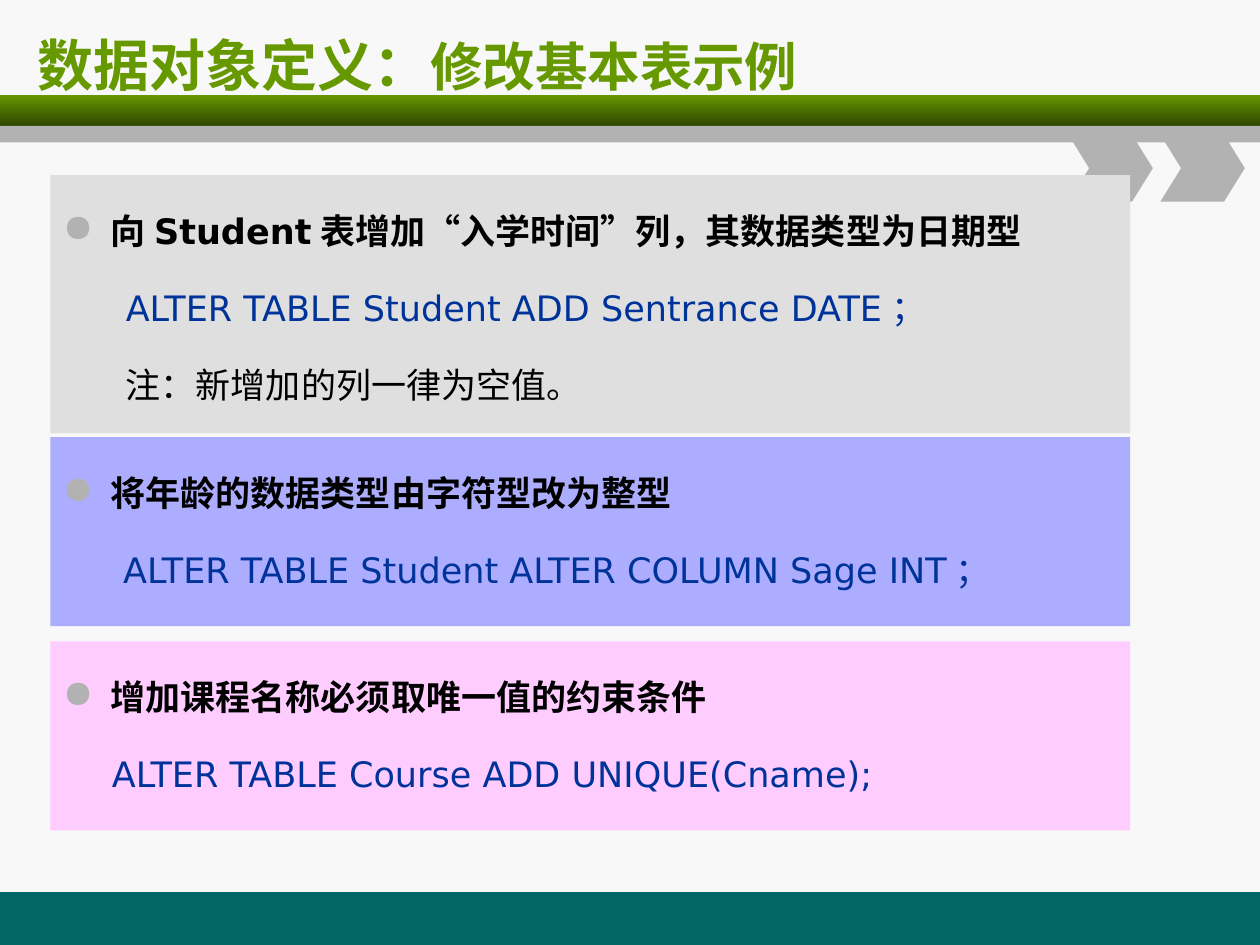
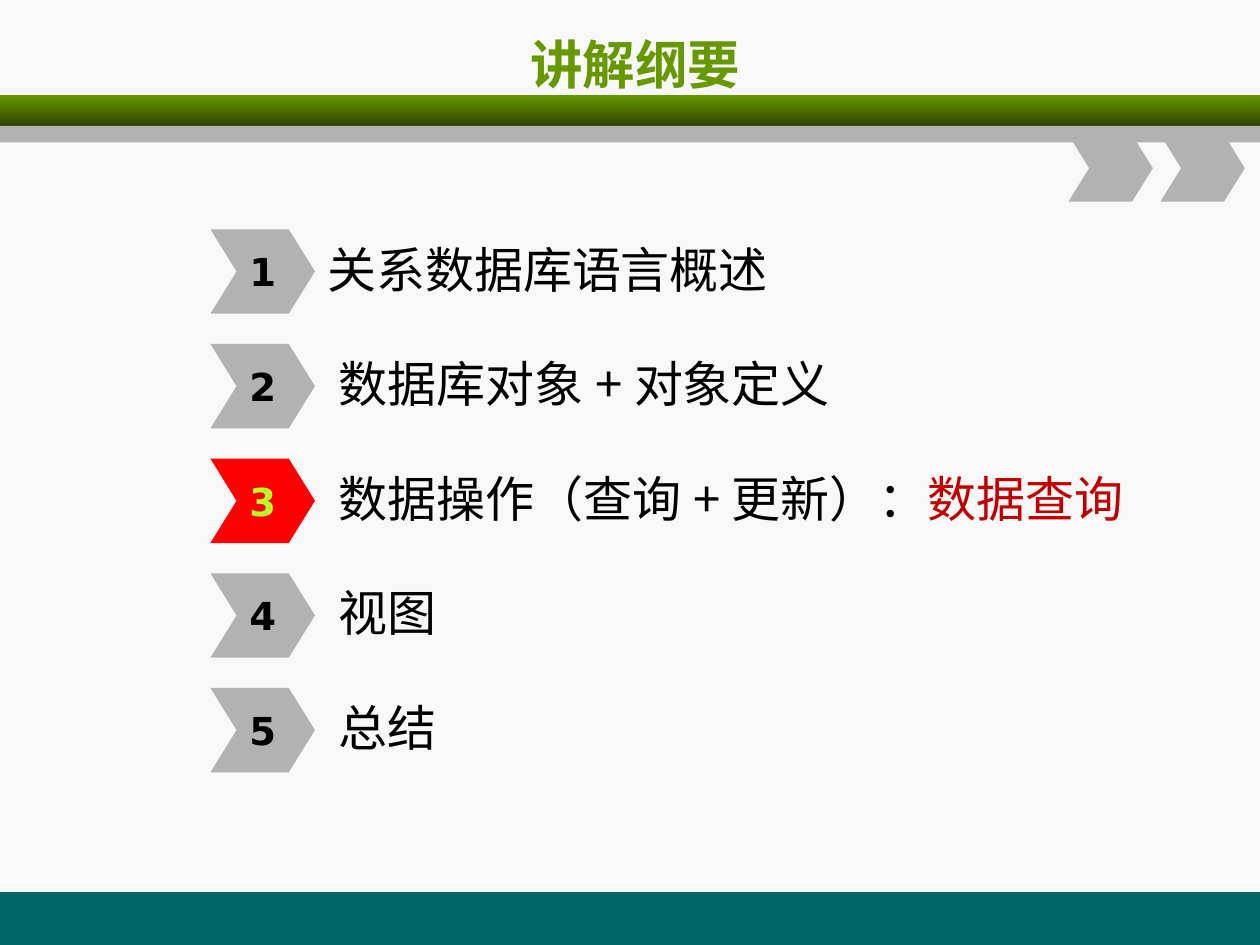
from pptx import Presentation
from pptx.dml.color import RGBColor
from pptx.enum import shapes, text
from pptx.oxml.ns import qn
from pptx.oxml.xmlchemy import OxmlElement
from pptx.util import Inches, Pt

PAPER = RGBColor(0xF8, 0xF8, 0xF8)
GREEN = RGBColor(0x66, 0x99, 0x00)
DARK_GREEN = RGBColor(0x2F, 0x46, 0x00)
TEAL = RGBColor(0x00, 0x66, 0x66)
GRAY = RGBColor(0xB2, 0xB2, 0xB2)
LIGHT_GRAY = RGBColor(0xDF, 0xDF, 0xDF)
LILAC = RGBColor(0xAD, 0xAD, 0xFF)
PINK = RGBColor(0xFF, 0xCC, 0xFF)
RED = RGBColor(0xFF, 0x00, 0x00)
DARK_RED = RGBColor(0xC0, 0x00, 0x00)
LIME = RGBColor(0xB8, 0xFF, 0x29)
NAVY = RGBColor(0x00, 0x33, 0x99)
BLACK = RGBColor(0x00, 0x00, 0x00)

LATIN = "DejaVu Sans"
CJK = "Noto Sans CJK SC"
QUOTE = "Courier New"
RECT = shapes.MSO_SHAPE.RECTANGLE
CHEVRON = shapes.MSO_SHAPE.CHEVRON
MIDDLE = text.MSO_ANCHOR.MIDDLE
CENTER = text.PP_ALIGN.CENTER


class Deck:
    """Holds the presentation, its style and the slide being built."""

    def __init__(self):
        self.prs = Presentation()
        self.prs.slide_width = Inches(10)
        self.prs.slide_height = Inches(7.5)
        self.s = None

    def new_slide(self):
        """Start a slide with the shared background, bands and corner chevrons."""
        self.s = self.prs.slides.add_slide(self.prs.slide_layouts[6])
        bg = self.s.background.fill
        bg.solid()
        bg.fore_color.rgb = PAPER
        self.shape(RECT, 0, 7.08, 10, 0.42, TEAL)
        band = self.shape(RECT, 0, 0.75, 10, 0.25, GREEN)
        band.fill.gradient()
        band.fill.gradient_angle = 270
        for stop, color in zip(band.fill.gradient_stops, (GREEN, DARK_GREEN)):
            stop.color.rgb = color
        self.shape(RECT, 0, 1, 10, 0.13, GRAY)
        for left in (8.48, 9.21):
            self.shape(CHEVRON, left, 1.07, 0.67, 0.53, GRAY)

    def shape(self, kind, left, top, width, height, color):
        sp = self.s.shapes.add_shape(
            kind, Inches(left), Inches(top), Inches(width), Inches(height))
        sp.shadow.inherit = False
        sp.fill.solid()
        sp.fill.fore_color.rgb = color
        sp.line.fill.background()
        if kind == CHEVRON:
            sp.adjustments[0] = 0.31
        return sp

    def textbox(self, left, top, width, height, anchor=MIDDLE):
        sp = self.s.shapes.add_textbox(
            Inches(left), Inches(top), Inches(width), Inches(height))
        sp.text_frame.word_wrap = True
        sp.text_frame.vertical_anchor = anchor
        return sp

    def add_runs(self, p, runs, size, color=BLACK, bold=False, font=LATIN):
        """Fill a paragraph from (text, overrides) pairs sharing one font."""
        p.font.size = Pt(size)
        p.font.bold = bold
        p.font.color.rgb = color
        p.font.name = font
        east_asian = OxmlElement("a:ea")
        east_asian.set("typeface", CJK)
        p._p.pPr.find(qn("a:defRPr")).append(east_asian)
        for words, changes in runs:
            r = p.add_run()
            r.text = words
            if "size" in changes:
                r.font.size = Pt(changes["size"])
            if "color" in changes:
                r.font.color.rgb = changes["color"]
            if "font" in changes:
                r.font.name = changes["font"]

    def title(self, runs, left, width, font=LATIN, align=None):
        p = self.textbox(left, 0.17, width, 0.67).text_frame.paragraphs[0]
        p.alignment = align
        self.add_runs(p, runs, 30, GREEN, True, font)

    def bullet(self, p):
        pPr = p._p.get_or_add_pPr()
        pPr.set("marL", str(Inches(0.38)))
        pPr.set("indent", str(-Inches(0.38)))
        color = OxmlElement("a:buClr")
        rgb = OxmlElement("a:srgbClr")
        rgb.set("val", str(GRAY))
        color.append(rgb)
        size = OxmlElement("a:buSzPct")
        size.set("val", "110000")
        char = OxmlElement("a:buChar")
        char.set("char", "●")
        pPr.extend([color, size, char])

    def panel(self, top, height, color, heading, indent, lines):
        """Coloured panel: a bulleted heading, then indented (text, colour) lines."""
        sp = self.textbox(0.4, top, 8.57, height, text.MSO_ANCHOR.TOP)
        sp.fill.solid()
        sp.fill.fore_color.rgb = color
        tf = sp.text_frame
        p = tf.paragraphs[0]
        self.bullet(p)
        p.line_spacing = Pt(40)
        self.add_runs(p, heading, 20, bold=True)
        for words, line_color in lines:
            p = tf.add_paragraph()
            p._p.get_or_add_pPr().set("marL", str(Inches(indent)))
            p.line_spacing = Pt(40)
            p.space_before = Pt(4)
            self.add_runs(p, [(words, {})], 20, line_color)

    def agenda_item(self, number, top, runs, width, indent, current):
        label = self.textbox(2.5, top + 0.02, width, 0.58)
        p = label.text_frame.paragraphs[0]
        p._p.get_or_add_pPr().set("marL", str(Inches(indent)))
        self.add_runs(p, runs, 28, font=CJK)
        marker = self.shape(CHEVRON, 1.67, top, 0.83, 0.67, RED if current else GRAY)
        tf = marker.text_frame
        tf.word_wrap = False
        tf.vertical_anchor = MIDDLE
        p = tf.paragraphs[0]
        p.alignment = CENTER
        self.add_runs(p, [(str(number), {})], 22, LIME if current else BLACK, True)


def alter_table_slide(deck):
    deck.new_slide()
    deck.title([("数据对象定义：", {"size": 32}), ("修改基本表示例", {})], 0.2, 9.55)
    deck.panel(3.47, 1.5, LILAC, [("将年龄的数据类型由字符型改为整型", {})], 0.48,
               [("ALTER TABLE Student ALTER COLUMN Sage INT；", NAVY)])
    deck.panel(1.39, 2.05, LIGHT_GRAY,
               [("向Student表增加", {}), ("“", {"font": QUOTE}), ("入学时间", {}),
                ("”", {"font": QUOTE}), ("列，其数据类型为日期型", {})], 0.5,
               [("ALTER TABLE Student ADD Sentrance DATE；", NAVY),
                ("注：新增加的列一律为空值。", BLACK)])
    deck.panel(5.09, 1.5, PINK, [("增加课程名称必须取唯一值的约束条件", {})], 0.39,
               [("ALTER TABLE Course ADD UNIQUE(Cname);", NAVY)])


def agenda_slide(deck):
    deck.new_slide()
    deck.title([("讲解纲要", {})], 0.54, 9, CJK, CENTER)
    topics = [
        [("关系数据库语言概述", {})],
        [("数据库对象+对象定义", {})],
        [("数据操作（查询+更新）：", {}), ("数据查询", {"color": DARK_RED})],
        [("视图", {})],
        [("总结", {})],
    ]
    for i, runs in enumerate(topics):
        current = i == 2
        deck.agenda_item(i + 1, 1.82 + 0.91 * i, runs, 6.55 if current else 5.92,
                         0.09 if i else 0, current)


def main():
    deck = Deck()
    alter_table_slide(deck)
    agenda_slide(deck)
    deck.prs.save("out.pptx")


if __name__ == "__main__":
    main()
